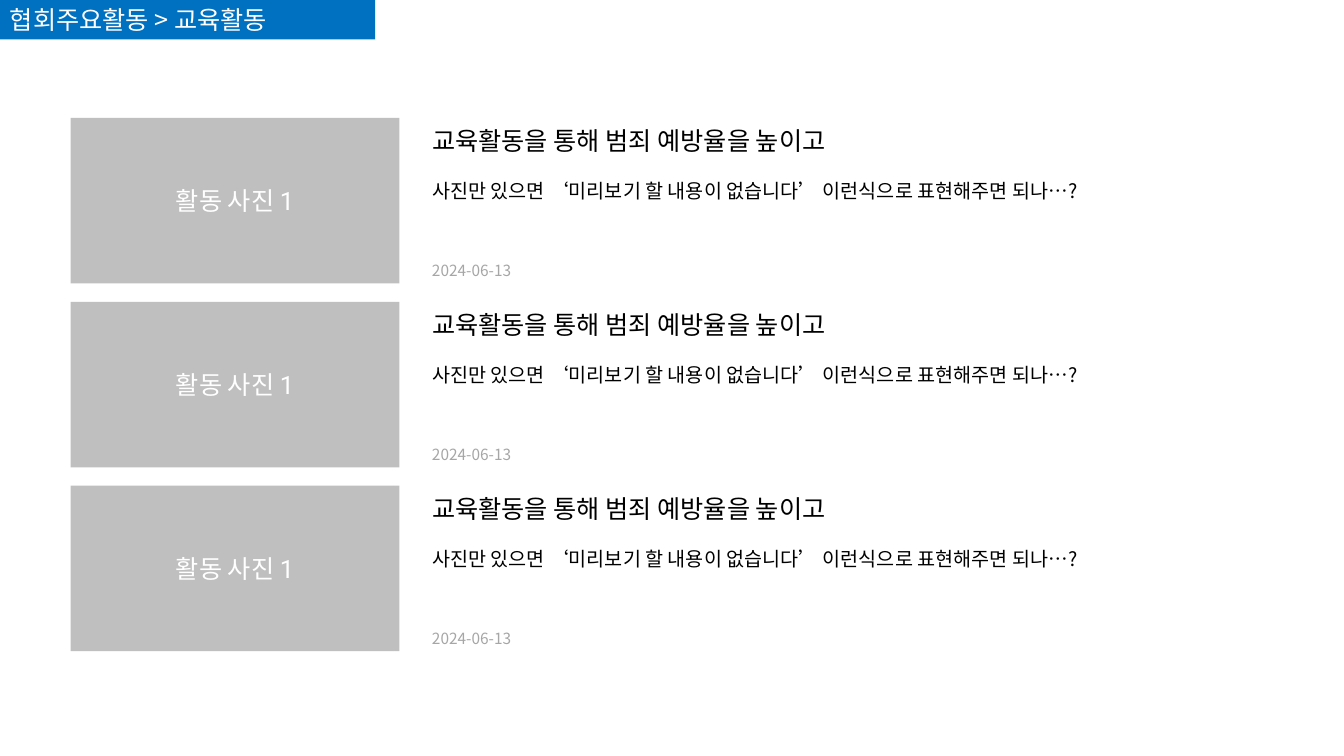
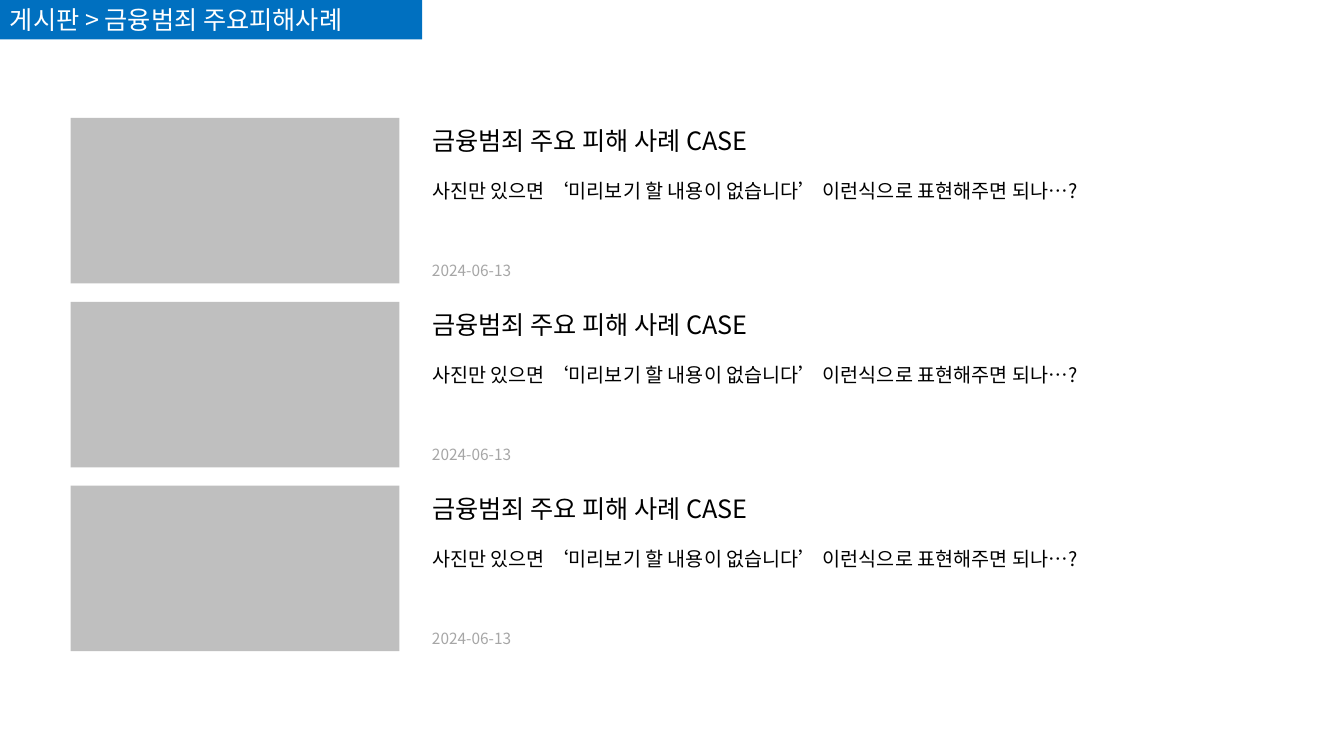
from pptx import Presentation
from pptx.dml.color import RGBColor
from pptx.enum import shapes, text
from pptx.oxml import ns
from pptx.util import Pt
from lxml import etree

COLORS = {"band": "0070C0", "photo": "BFBFBF", "white": "FFFFFF",
          "ink": "000000", "date": "A6A6A6"}
KOREAN = "Noto Sans CJK KR"
LATIN = "Roboto"

# List layout, in points
PHOTO_LEFT, PHOTO_WIDTH, PHOTO_HEIGHT = 50.4, 235, 118.2
FIRST_TOP, ROW_PITCH, ROW_COUNT = 84.2, 131.4, 3
TEXT_LEFT = 301.5

SUMMARY = "사진만 있으면 ‘미리보기 할 내용이 없습니다’ 이런식으로 표현해주면 되나…?"
DATE = "2024-06-13"


class Board:
    """Holds the deck, the current page and the shared style."""

    def __init__(self):
        self.deck = Presentation()
        self.deck.slide_width, self.deck.slide_height = Pt(960), Pt(540)
        self.page = None

    def add_page(self):
        self.page = self.deck.slides.add_slide(self.deck.slide_layouts[6])

    def set_text(self, box, words, size, color, font=KOREAN, align=text.PP_ALIGN.LEFT):
        frame = box.text_frame
        frame.word_wrap = True
        frame.text = words
        para = frame.paragraphs[0]
        para.alignment = align
        for span in para.runs:
            span.font.size = Pt(size)
            span.font.name = font
            span.font.color.rgb = RGBColor.from_string(COLORS[color])
            # Hangul takes the East Asian typeface
            east = etree.SubElement(span._r.get_or_add_rPr(), ns.qn("a:ea"))
            east.set("typeface", KOREAN)

    def block(self, left, top, width, height, color):
        box = self.page.shapes.add_shape(
            shapes.MSO_SHAPE.RECTANGLE, Pt(left), Pt(top), Pt(width), Pt(height))
        box.shadow.inherit = False
        box.fill.solid()
        box.fill.fore_color.rgb = RGBColor.from_string(COLORS[color])
        box.line.fill.background()
        return box

    def label(self, top, width, height, words, size, color="ink"):
        box = self.page.shapes.add_textbox(
            Pt(TEXT_LEFT), Pt(top), Pt(width), Pt(height))
        self.set_text(box, words, size, color)

    def band(self, words, width):
        box = self.block(0, -0.8, width, 29, "band")
        box.text_frame.vertical_anchor = text.MSO_ANCHOR.TOP
        self.set_text(box, words, 18, "white")

    def photo(self, top, caption):
        box = self.block(PHOTO_LEFT, top, PHOTO_WIDTH, PHOTO_HEIGHT, "photo")
        if caption:
            box.text_frame.vertical_anchor = text.MSO_ANCHOR.MIDDLE
            self.set_text(box, caption, 18, "white", LATIN, text.PP_ALIGN.CENTER)

    def entry(self, top, title, caption):
        self.photo(top, caption)
        self.label(top + 1.5, 326, 29, title, 18)
        self.label(top + 98.8, 100, 20.6, DATE, 11, "date")
        self.label(top + 40, 574, 24.2, SUMMARY, 14)


# Band text, band width, entry title, photo caption
PAGES = [
    ("협회주요활동 > 교육활동", 268, "교육활동을 통해 범죄 예방율을 높이고", "활동 사진 1"),
    ("게시판 > 금융범죄 주요피해사례", 301.5, "금융범죄 주요 피해 사례 CASE", None),
]


def main():
    board = Board()
    for trail, width, title, caption in PAGES:
        board.add_page()
        board.band(trail, width)
        for row in range(ROW_COUNT):
            board.entry(FIRST_TOP + row * ROW_PITCH, title, caption)
    board.deck.save("out.pptx")


if __name__ == "__main__":
    main()
